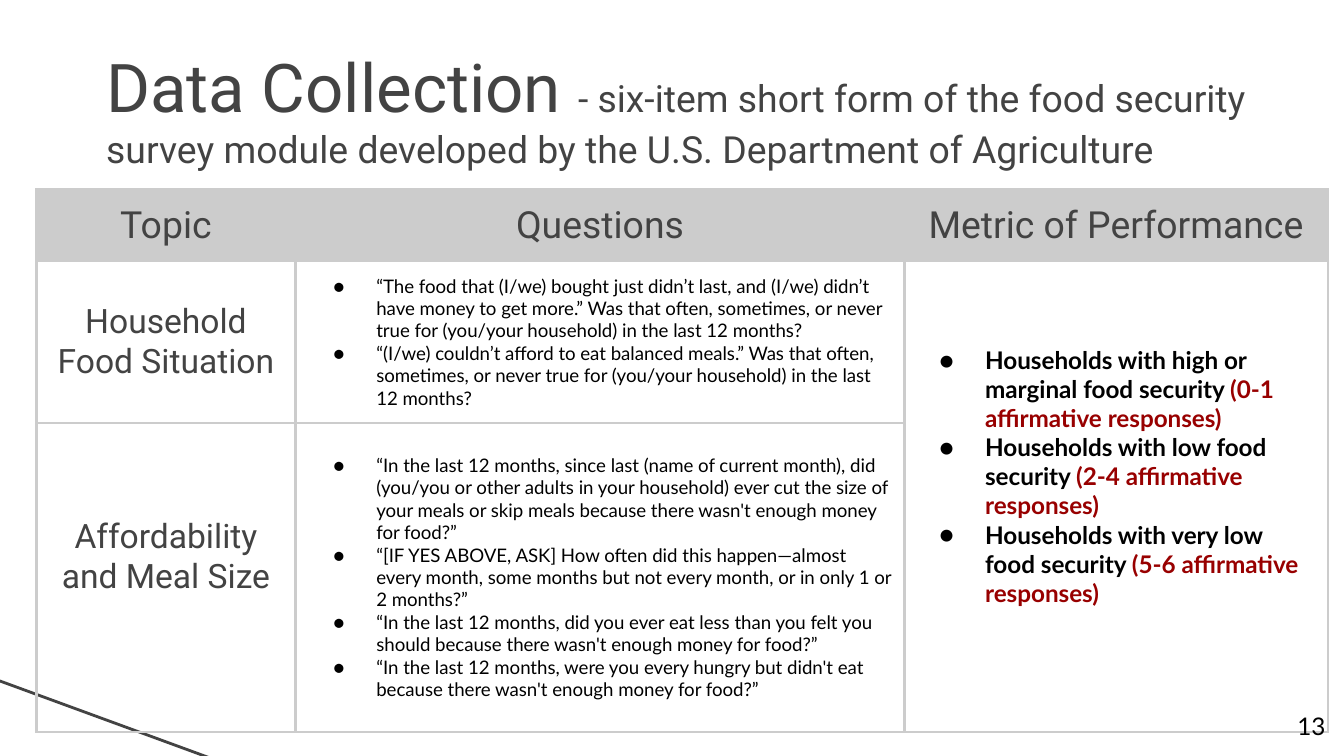
from dataclasses import dataclass

import pptx
import pptx.dml.color
import pptx.enum.shapes
import pptx.enum.text
import pptx.oxml
import pptx.oxml.ns
import pptx.util
from pptx.util import Inches

ALIGN = pptx.enum.text.PP_ALIGN
ANCHOR = pptx.enum.text.MSO_ANCHOR


@dataclass(frozen=True)
class Theme:
    heading_font: str = "Roboto"
    body_font: str = "Lato"
    dark: str = "434343"
    black: str = "000000"
    red: str = "980000"
    grey: str = "CCCCCC"
    title_size: int = 36
    heading_size: int = 20
    topic_size: int = 18
    metric_size: int = 13
    question_size: int = 10
    line_width: float = 1.5


THEME = Theme()


@dataclass(frozen=True)
class Style:
    font: str
    size: int
    color: str
    bold: bool = False


TITLE = Style(THEME.heading_font, THEME.title_size, THEME.dark)
HEADING = Style(THEME.heading_font, THEME.heading_size, THEME.dark)
TOPIC = Style(THEME.heading_font, THEME.topic_size, THEME.dark)
QUESTION = Style(THEME.body_font, THEME.question_size, THEME.black)
METRIC = Style(THEME.body_font, THEME.metric_size, THEME.black, True)
RESPONSE = Style(THEME.body_font, THEME.metric_size, THEME.red, True)
PAGE_NUMBER = Style(THEME.body_font, THEME.metric_size, THEME.black)


@dataclass(frozen=True)
class Span:
    text: str
    style: Style


@dataclass(frozen=True)
class Topic:
    name: str
    questions: tuple[str, ...]


HEADERS = ("Topic", "Questions", "Metric of Performance")
TOPICS = (
    Topic("Household Food Situation", (
        "“The food that (I/we) bought just didn’t last, and (I/we) didn’t have money to get more.” "
        "Was that often, sometimes, or never true for (you/your household) in the last 12 months?",
        "“(I/we) couldn’t afford to eat balanced meals.” Was that often, sometimes, or never true "
        "for (you/your household) in the last 12 months?",
    )),
    Topic("Affordability and Meal Size", (
        "“In the last 12 months, since last (name of current month), did (you/you or other adults "
        "in your household) ever cut the size of your meals or skip meals because there wasn't "
        "enough money for food?”",
        "“[IF YES ABOVE, ASK] How often did this happen—almost every month, some months but not "
        "every month, or in only 1 or 2 months?”",
        "“In the last 12 months, did you ever eat less than you felt you should because there "
        "wasn't enough money for food?”",
        "“In the last 12 months, were you every hungry but didn't eat because there wasn't enough "
        "money for food?”",
    )),
)
METRICS = (
    ("high or marginal food security", "0-1"),
    ("low food security", "2-4"),
    ("very low food security", "5-6"),
)
COLUMN_WIDTHS = (1.93, 4.53, 3.15)
ROW_HEIGHTS = (0.33, 1.2, 2.3)  # the header row grows to fit its text
TABLE_HEIGHT = 4.03


def rgb(color: str) -> pptx.dml.color.RGBColor:
    return pptx.dml.color.RGBColor.from_string(color)


def add_bullet(para, hanging: float, size: int) -> None:
    properties = para._p.get_or_add_pPr()
    properties.set("marL", str(Inches(0.5)))
    properties.set("indent", str(-Inches(hanging)))
    namespace = pptx.oxml.ns.nsdecls("a")
    for xml in (
        f'<a:buClr {namespace}><a:srgbClr val="{THEME.black}"/></a:buClr>',
        f'<a:buSzPts {namespace} val="{size * 100}"/>',
        f'<a:buFont {namespace} typeface="{THEME.body_font}"/>',
        f'<a:buChar {namespace} char="●"/>',
    ):
        properties.append(pptx.oxml.parse_xml(xml))


def write(frame, lines: list[list[Span]], align=ALIGN.LEFT, hanging: float = 0) -> None:
    """Fill a text frame, one list of spans a paragraph; hanging adds bullets."""
    frame.word_wrap = True
    for index, line in enumerate(lines):
        para = frame.add_paragraph() if index else frame.paragraphs[0]
        para.alignment = align
        if hanging:
            add_bullet(para, hanging, line[0].style.size)
        for span in line:
            run = para.add_run()
            run.text = span.text
            run.font.name = span.style.font
            run.font.size = pptx.util.Pt(span.style.size)
            run.font.bold = span.style.bold
            run.font.color.rgb = rgb(span.style.color)


def add_text(page, left: float, top: float, width: float, height: float,
             spans: list[Span], margin: float, anchor, align) -> None:
    box = page.shapes.add_textbox(Inches(left), Inches(top), Inches(width), Inches(height))
    frame = box.text_frame
    frame.margin_left = frame.margin_right = Inches(margin)
    frame.margin_top = frame.margin_bottom = Inches(margin)
    frame.vertical_anchor = anchor
    write(frame, [spans], align)


def format_cell(cell, filled: bool) -> None:
    cell.margin_left = cell.margin_right = Inches(0.1)
    cell.margin_top = cell.margin_bottom = Inches(0.1)
    cell.vertical_anchor = ANCHOR.MIDDLE
    properties = cell._tc.get_or_add_tcPr()
    for side in ("lnL", "lnR", "lnT", "lnB"):
        properties.append(pptx.oxml.parse_xml(
            f'<a:{side} {pptx.oxml.ns.nsdecls("a")} w="{pptx.util.Pt(THEME.line_width)}">'
            f'<a:solidFill><a:srgbClr val="{THEME.grey}"/></a:solidFill></a:{side}>'))
    if filled:
        cell.fill.solid()
        cell.fill.fore_color.rgb = rgb(THEME.grey)
    else:
        cell.fill.background()


def add_survey_table(page) -> None:
    holder = page.shapes.add_table(
        len(ROW_HEIGHTS), len(COLUMN_WIDTHS), Inches(0.27), Inches(1.41),
        Inches(sum(COLUMN_WIDTHS)), Inches(TABLE_HEIGHT))
    table = holder.table
    table.first_row = table.horz_banding = False
    for column, width in zip(table.columns, COLUMN_WIDTHS):
        column.width = Inches(width)
    for row_index, (row, height) in enumerate(zip(table.rows, ROW_HEIGHTS)):
        row.height = Inches(height)
        for cell in row.cells:
            format_cell(cell, filled=row_index == 0)
    holder.height = Inches(TABLE_HEIGHT)
    table.cell(1, 2).merge(table.cell(2, 2))

    # These two cells sit a little above the middle
    for row_index, column_index in ((2, 0), (1, 2)):
        table.cell(row_index, column_index).margin_bottom = Inches(0.4)

    for index, header in enumerate(HEADERS):
        write(table.cell(0, index).text_frame, [[Span(header, HEADING)]], ALIGN.CENTER)
    for index, topic in enumerate(TOPICS, start=1):
        write(table.cell(index, 0).text_frame, [[Span(topic.name, TOPIC)]], ALIGN.CENTER)
        questions = [[Span(question, QUESTION)] for question in topic.questions]
        write(table.cell(index, 1).text_frame, questions, hanging=0.32)
    metrics = [[Span(f"Households with {level} ", METRIC),
                Span(f"({score} affirmative responses)", RESPONSE)]
               for level, score in METRICS]
    write(table.cell(1, 2).text_frame, metrics, hanging=0.34)


def add_corner_line(page) -> None:
    line = page.shapes.add_connector(
        pptx.enum.shapes.MSO_CONNECTOR.STRAIGHT,
        Inches(2), Inches(5.8), Inches(-0.13), Inches(5.02))
    line.line.color.rgb = rgb(THEME.dark)
    line.line.width = pptx.util.Pt(THEME.line_width)
    line._element.spPr.append(
        pptx.oxml.parse_xml(f'<a:effectLst {pptx.oxml.ns.nsdecls("a")}/>'))


def main() -> None:
    deck = pptx.Presentation()
    deck.slide_width = Inches(10)
    deck.slide_height = deck.slide_width * 9 // 16
    page = deck.slides.add_slide(deck.slide_layouts[6])

    # Corner decoration
    add_corner_line(page)

    # Title
    add_text(page, 0.79, 0.49, 9.21, 0.63, [
        Span("Data Collection ", TITLE),
        Span("- six-item short form of the food security survey module developed by "
             "the U.S. Department of Agriculture", HEADING),
    ], 0, ANCHOR.MIDDLE, ALIGN.LEFT)

    # Survey questions and scoring
    add_survey_table(page)

    # Page number
    add_text(page, 9.36, 5.19, 0.6, 0.43, [Span("13", PAGE_NUMBER)],
             0.1, ANCHOR.TOP, ALIGN.RIGHT)

    deck.save("out.pptx")


if __name__ == "__main__":
    main()
